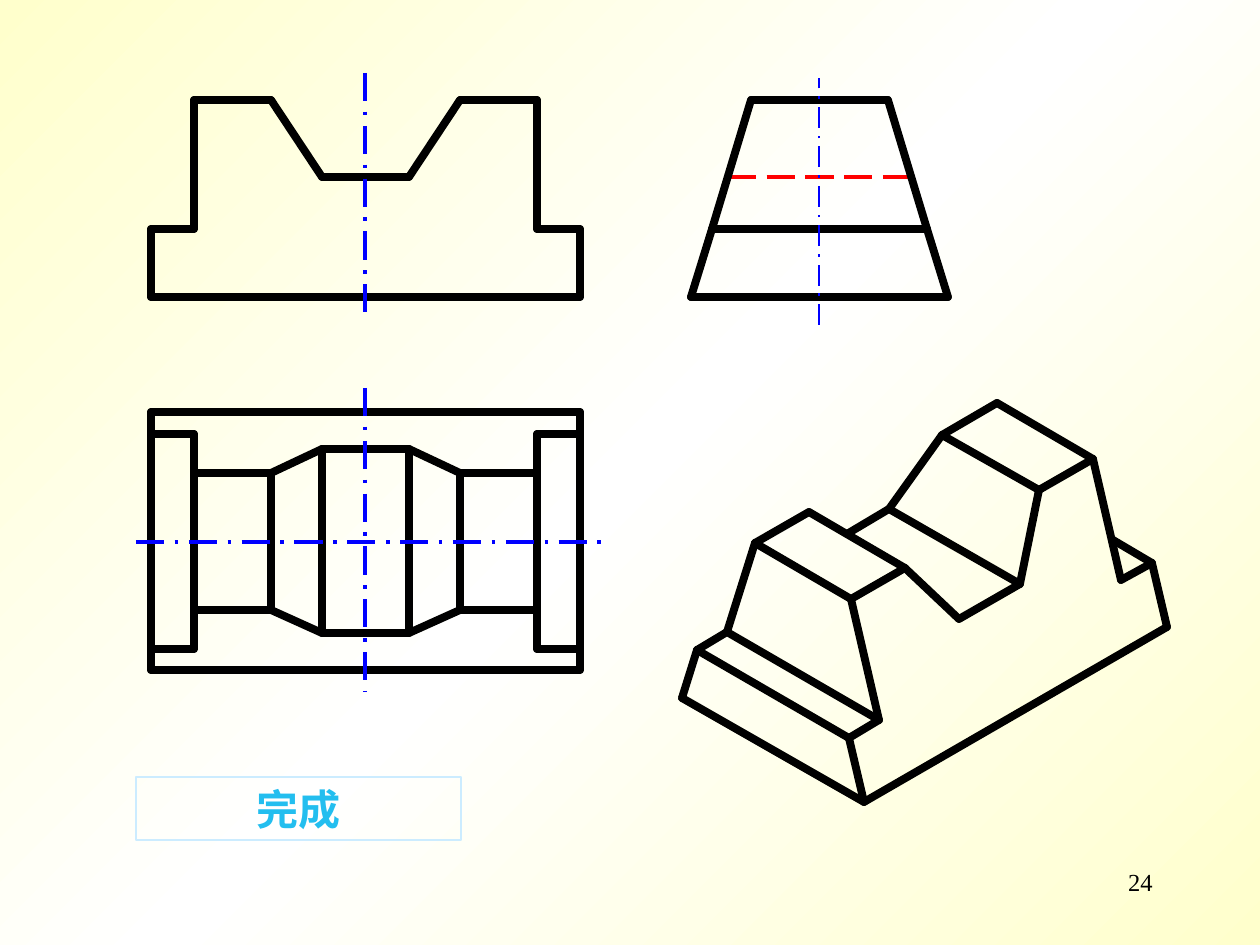
from copy import deepcopy

from pptx import Presentation
from pptx.dml.color import RGBColor
from pptx.enum.dml import MSO_LINE_DASH_STYLE as DASH
from pptx.enum.shapes import MSO_CONNECTOR, MSO_SHAPE
from pptx.enum.text import MSO_ANCHOR, PP_ALIGN
from pptx.oxml.ns import qn
from pptx.util import Emu, Pt

EMU_PER_PX = 914400 / 126
FONT = "Times New Roman"
BLACK, BLUE, RED = "000000", "0000FF", "FF0000"

# Columns shared by the front and top views, left to right
BASE_L, BODY_L, RIM_L, FLOOR_L = 151, 194, 271, 322
FLOOR_R, RIM_R, BODY_R, BASE_R = 409, 460, 537, 580
AXIS_X = 365
# Levels shared by the front and end views, top to bottom
TOP, FLOOR, STEP, BOTTOM = 100, 177, 229, 297


def px(length):
    return Emu(round(length * EMU_PER_PX))


def color(hex_string):
    return RGBColor.from_string(hex_string)


def add_line(group, start, end, hex_color=BLACK, width=4.5, dash=None):
    edge = group.shapes.add_connector(
        MSO_CONNECTOR.STRAIGHT, *(px(v) for v in (*start, *end)))
    edge.line.color.rgb = color(hex_color)
    edge.line.width = Pt(width)
    if dash:
        edge.line.dash_style = dash
    else:
        edge.line._get_or_add_ln().set("cap", "rnd")
    properties = edge._element.spPr
    properties.append(properties.makeelement(qn("a:effectLst"), {}))


def add_edges(group, *points):
    """Join consecutive points with visible edges."""
    for start, end in zip(points, points[1:]):
        add_line(group, start, end)


def add_axis(group, start, end, width=0):
    add_line(group, start, end, BLUE, width, DASH.LONG_DASH_DOT)


def paint_background(slide):
    fill = slide.background.fill
    fill.gradient()
    fill.gradient_angle = 315
    stop_list = slide._element.xpath(".//p:bg//a:gsLst")[0]
    stop_list.append(deepcopy(stop_list[0]))
    stops = [(0, "FFFFCC"), (0.5, "FFFFFF"), (1, "FFFFCC")]
    for stop, (position, hex_color) in zip(fill.gradient_stops, stops):
        stop.position = position
        stop.color.rgb = color(hex_color)


def draw_front_view(slide):
    view = slide.shapes.add_group_shape()
    add_edges(view, (BASE_R, BOTTOM), (BASE_R, STEP), (BODY_R, STEP),
              (BODY_R, TOP), (RIM_R, TOP), (FLOOR_R, FLOOR),
              (FLOOR_L, FLOOR), (RIM_L, TOP), (BODY_L, TOP),
              (BODY_L, STEP), (BASE_L, STEP), (BASE_L, BOTTOM),
              (BASE_R, BOTTOM))
    add_axis(view, (AXIS_X, 73), (AXIS_X, 321))


def draw_top_view(slide):
    view = slide.shapes.add_group_shape()
    # Back and front depth of each feature
    base, step, floor, rim = (412, 670), (434, 649), (449, 633), (473, 610)
    halves = [(BASE_L, BODY_L, RIM_L, FLOOR_L),
              (BASE_R, BODY_R, RIM_R, FLOOR_R)]
    for base_x, body_x, rim_x, floor_x in halves:
        add_edges(view, *((base_x, y) for y in sorted(base + step)))
        add_edges(view, *((body_x, y) for y in sorted(step + rim)))
        for x, depth in ((rim_x, rim), (floor_x, floor)):
            add_edges(view, *((x, y) for y in depth))
        for side in range(2):
            add_edges(view, (base_x, step[side]), (body_x, step[side]))
            add_edges(view, (body_x, rim[side]), (rim_x, rim[side]),
                      (floor_x, floor[side]))
    for side in range(2):
        add_edges(view, (BASE_L, base[side]), (BASE_R, base[side]))
        add_edges(view, (FLOOR_L, floor[side]), (FLOOR_R, floor[side]))
    add_axis(view, (136, 542), (602, 542))
    add_axis(view, (AXIS_X, 388), (AXIS_X, 692))


def draw_end_view(slide):
    view = slide.shapes.add_group_shape()
    step_l, step_r = (712, STEP), (927, STEP)
    add_line(view, (728, FLOOR), (911, FLOOR), RED, 0, DASH.LONG_DASH)
    add_edges(view, (691, BOTTOM), step_l, (751, TOP), (888, TOP),
              step_r, (948, BOTTOM), (691, BOTTOM))
    add_edges(view, step_l, step_r)
    add_axis(view, (819, 325), (819, 78), 1.5)


def draw_isometric_view(slide):
    view = slide.shapes.add_group_shape()
    # Corners of the near (left) end, back then front
    base_back, base_front = (682, 698), (864, 802)
    step_back, step_front = (697, 650), (849, 738)
    foot_back, foot_front = (727, 632), (879, 720)
    near_back, near_front = (755, 543), (851, 599)
    near_rim_back, near_rim_front = (809, 512), (905, 568)
    # Corners of the notch and the far (right) end
    floor_hidden, floor_near = (847, 534), (959, 619)
    floor_back, floor_front = (889, 509), (1020, 584)
    rim_back, rim_front = (942, 435), (1039, 490)
    far_back, far_front = (997, 403), (1093, 459)
    far_foot, far_step = (1121, 580), (1152, 563)
    far_step_back, far_base = (1113, 540), (1167, 627)

    # Front face outline
    add_edges(view, base_front, step_front, foot_front, near_front,
              near_rim_front, floor_near, floor_front, rim_front, far_front,
              far_foot, far_step, far_base, base_front)
    # Back outline
    add_edges(view, base_back, step_back, foot_back, near_back, near_rim_back)
    add_edges(view, floor_hidden, floor_back, rim_back, far_back)
    # Edges running from back to front
    for back, front in ((base_back, base_front), (step_back, step_front),
                        (foot_back, foot_front), (near_back, near_front),
                        (near_rim_back, near_rim_front),
                        (floor_back, floor_front), (rim_back, rim_front),
                        (far_back, far_front), (far_step_back, far_step)):
        add_edges(view, back, front)


def write(shape, text, size, hex_color, align, bold=False):
    frame = shape.text_frame
    frame.word_wrap = True
    paragraph = frame.paragraphs[0]
    paragraph.alignment = align
    run = paragraph.add_run()
    run.text = text
    run.font.name = FONT
    run.font.size = Pt(size)
    run.font.bold = bold
    run.font.color.rgb = color(hex_color)


def add_caption(slide):
    caption = slide.shapes.add_shape(
        MSO_SHAPE.RECTANGLE, px(136), px(777), px(325), px(63))
    caption.shadow.inherit = False
    caption.fill.background()
    caption.line.color.rgb = color("CCECFF")
    caption.line.width = Pt(0)
    caption.text_frame.vertical_anchor = MSO_ANCHOR.MIDDLE
    write(caption, "完成", 24, "23BEEF", PP_ALIGN.CENTER, bold=True)


def add_page_number(slide):
    number = slide.shapes.add_textbox(px(903), px(861), px(262), px(63))
    write(number, "24", 14, BLACK, PP_ALIGN.RIGHT)


def main():
    deck = Presentation()
    deck.slide_width, deck.slide_height = px(1260), px(945)
    slide = deck.slides.add_slide(deck.slide_layouts[6])
    paint_background(slide)
    add_page_number(slide)
    draw_front_view(slide)
    draw_top_view(slide)
    draw_end_view(slide)
    draw_isometric_view(slide)
    add_caption(slide)
    deck.save("out.pptx")


if __name__ == "__main__":
    main()
